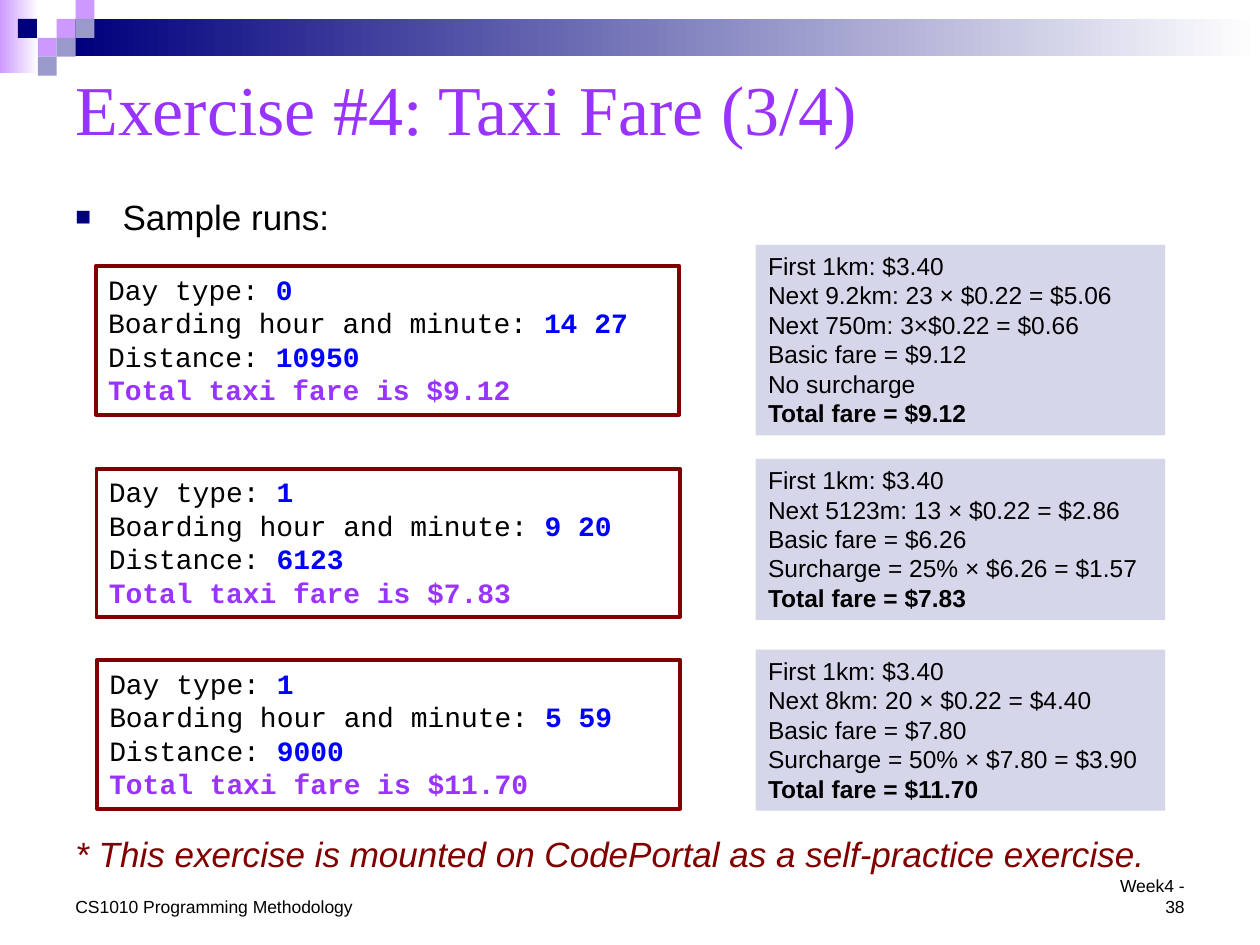
from lxml import etree
from pptx import Presentation
from pptx.dml.color import RGBColor
from pptx.enum.shapes import MSO_SHAPE
from pptx.enum.text import MSO_ANCHOR, PP_ALIGN
from pptx.oxml.ns import qn
from pptx.util import Pt

RECT = MSO_SHAPE.RECTANGLE
TOP, MIDDLE, BOTTOM = MSO_ANCHOR.TOP, MSO_ANCHOR.MIDDLE, MSO_ANCHOR.BOTTOM
LEFT, RIGHT = PP_ALIGN.LEFT, PP_ALIGN.RIGHT

NAVY, LILAC, GREY, WHITE = "00007D", "CC99FF", "9999CC", "FFFFFF"
BLACK, BLUE, PURPLE, MAROON, PALE = "000000", "0000FF", "9933FF", "800000", "D6D6EB"
STEP = 10.8  # side of a corner square

SMALL = {"name": "Arial", "size": Pt(10), "color": BLACK}
BODY = {"name": "Arial", "size": Pt(20), "color": BLACK}
NOTE = {"name": "Arial", "size": Pt(14), "color": BLACK}
CODE = {"name": "Courier New", "size": Pt(16), "color": BLACK}
TITLE = {"name": "Times New Roman", "size": Pt(40), "color": PURPLE}
INPUT = {"color": BLUE, "bold": True}
TOTAL = {"color": PURPLE, "bold": True}

# Left and top of the run, its inputs, fare, top and height of the working, its lines
RUNS = [
    (54.8, 151.9, ("0", "14 27", "10950"), "$9.12", 139.9, 109,
     ["Next 9.2km: 23 × $0.22 = $5.06", "Next 750m: 3×$0.22 = $0.66",
      "Basic fare = $9.12", "No surcharge"]),
    (55.2, 267.8, ("1", "9 20", "6123"), "$7.83", 262.3, 92,
     ["Next 5123m: 13 × $0.22 = $2.86", "Basic fare = $6.26",
      "Surcharge = 25% × $6.26 = $1.57"]),
    (55.4, 377.1, ("1", "5 59", "9000"), "$11.70", 371.3, 92,
     ["Next 8km: 20 × $0.22 = $4.40", "Basic fare = $7.80",
      "Surcharge = 50% × $7.80 = $3.90"]),
]
PROMPTS = ("Day type: ", "Boarding hour and minute: ", "Distance: ")


def paint(color, value):
    color.rgb = RGBColor.from_string(value)


def style(font, look):
    for key, value in look.items():
        if key == "color":
            paint(font.color, value)
        else:
            setattr(font, key, value)


def write(shape, lines, look, anchor=TOP, align=LEFT):
    """Each line is a list of (text, extra look) runs."""
    frame = shape.text_frame
    frame.word_wrap = True
    frame.vertical_anchor = anchor
    for i, line in enumerate(lines):
        para = frame.paragraphs[0] if i == 0 else frame.add_paragraph()
        para.alignment = align
        for text, extra in line:
            run = para.add_run()
            run.text = text
            style(run.font, {**look, **extra})


def add_rect(slide, box, fill, end=None, line=None):
    shape = slide.shapes.add_shape(RECT, *map(Pt, box))
    shape.shadow.inherit = False
    if end:
        shape.fill.gradient()
        shape.fill.gradient_angle = 0
        for stop, value in zip(shape.fill.gradient_stops, (fill, end)):
            paint(stop.color, value)
    else:
        shape.fill.solid()
        paint(shape.fill.fore_color, fill)
    if line:
        paint(shape.line.color, line)
        shape.line.width = Pt(2.25)
    else:
        shape.line.fill.background()
    return shape


def add_text(slide, box, text, look, anchor=TOP, align=LEFT):
    shape = slide.shapes.add_textbox(*map(Pt, box))
    write(shape, [[(text, {})]], look, anchor, align)
    return shape


def add_bullet(para):
    props = para._p.get_or_add_pPr()
    props.set("marL", str(Pt(27)))
    props.set("indent", str(-Pt(27)))
    color = etree.SubElement(props, qn("a:buClr"))
    etree.SubElement(color, qn("a:srgbClr"), val=NAVY)
    etree.SubElement(props, qn("a:buSzPct"), val="75000")
    etree.SubElement(props, qn("a:buFont"), typeface="Arial")
    etree.SubElement(props, qn("a:buChar"), char="■")


def add_banner(slide):
    add_rect(slide, (0, 0, 22, 41.8), LILAC, WHITE)
    add_rect(slide, (3 * STEP + 10.5, STEP, 676.7, 2 * STEP - 0.4), NAVY, WHITE)
    squares = [(3, 1, LILAC), (4, 0, LILAC), (4, 1, GREY), (2, 2, LILAC),
               (0.95, 1, NAVY), (3, 2, GREY), (2, 3, GREY)]
    for col, row, fill in squares:
        add_rect(slide, (col * STEP, row * STEP, STEP, STEP), fill)


def add_run(slide, left, top, inputs, fare, note_top, height, steps):
    # Screen output
    lines = [[(ask, {}), (value, INPUT)] for ask, value in zip(PROMPTS, inputs)]
    lines.append([(f"Total taxi fare is {fare}", TOTAL)])
    screen = add_rect(slide, (left, top, 333.4, 85), WHITE, line=MAROON)
    write(screen, lines, CODE)

    # Working of the fare
    lines = [[(step, {})] for step in ["First 1km: $3.40", *steps]]
    lines.append([(f"Total fare = {fare}", {"bold": True})])
    note = add_rect(slide, (431.8, note_top, 234, height), PALE)
    write(note, lines, NOTE)


def main():
    deck = Presentation()
    deck.slide_width, deck.slide_height = Pt(720), Pt(540)
    slide = deck.slides.add_slide(deck.slide_layouts[6])

    add_banner(slide)

    # Heading and lead line
    add_text(slide, (36, 30, 648, 63.4), "Exercise #4: Taxi Fare (3/4)", TITLE, MIDDLE)
    lead = add_text(slide, (36, 108, 648, 31.5), "Sample runs:", BODY)
    add_bullet(lead.text_frame.paragraphs[0])

    for run in RUNS:
        add_run(slide, *run)

    # Closing remark and footer
    remark = "* This exercise is mounted on CodePortal as a self-practice exercise."
    add_text(slide, (36, 472.4, 648, 31.5), remark,
             {**BODY, "color": MAROON, "italic": True})
    add_text(slide, (36, 508.2, 174, 19.4), "CS1010 Programming Methodology", SMALL, BOTTOM)
    add_text(slide, (623.6, 508.2, 60.4, 19.4), "Week4 - 38", SMALL, BOTTOM, RIGHT)

    deck.save("out.pptx")


if __name__ == "__main__":
    main()
